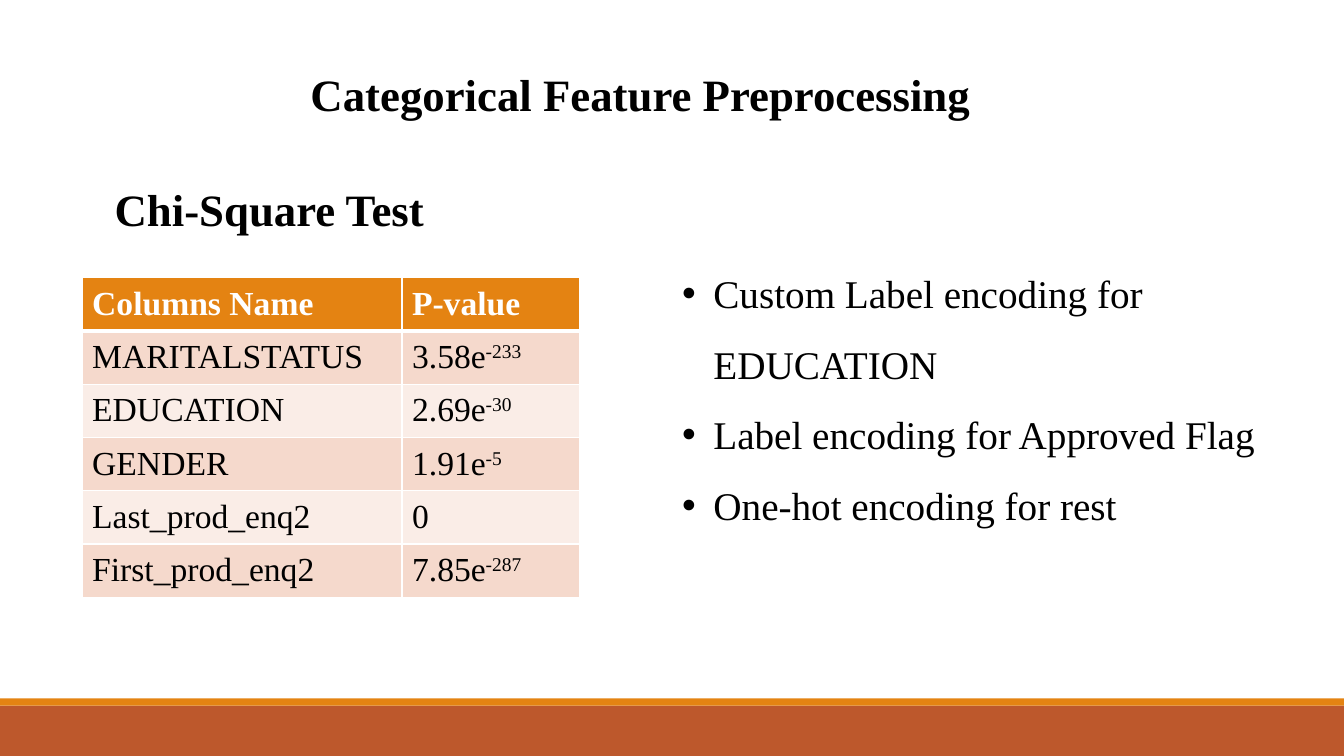
from lxml.etree import SubElement
from pptx import Presentation
from pptx.dml.color import RGBColor
from pptx.enum.shapes import MSO_SHAPE as Preset
from pptx.enum.text import MSO_ANCHOR as Anchor, PP_ALIGN as Align
from pptx.oxml.ns import qn
from pptx.util import Cm, Pt

COLORS = {
    "rust": "BD582C", "orange": "E48312", "white": "FFFFFF",
    "black": "000000", "band_dark": "F5D9CC", "band_light": "FAEDE7",
}


def rgb(name):
    return RGBColor.from_string(COLORS[name])


def add_span(para, text, size, color="black", bold=False):
    span = para.add_run()
    span.text = text
    formats = {"name": "Times New Roman", "size": Pt(size), "bold": bold}
    for attribute, value in formats.items():
        setattr(span.font, attribute, value)
    span.font.color.rgb = rgb(color)
    return span


deck = Presentation()
deck.slide_width, deck.slide_height = Cm(33.87), Cm(19.05)
page = deck.slides.add_slide(deck.slide_layouts[5])

# Footer bars
for top, height, color in [(17.78, 1.27, "rust"), (17.6, 0.18, "orange")]:
    bar = page.shapes.add_shape(Preset.RECTANGLE, 0, Cm(top), deck.slide_width, Cm(height))
    bar.shadow.inherit = False
    bar.fill.solid()
    bar.fill.fore_color.rgb = rgb(color)
    bar.line.fill.background()

# Title and subheading
title = page.shapes.title
title.left, title.top, title.width, title.height = Cm(7.57), Cm(1.55), Cm(17.6), Cm(1.63)
subheading = page.shapes.add_textbox(Cm(2.64), Cm(4.45), Cm(15.06), Cm(1.63))
headings = [(title, "Categorical Feature Preprocessing"), (subheading, "Chi-Square Test")]
for box, text in headings:
    box.text_frame.word_wrap = True
    box.text_frame.vertical_anchor = Anchor.TOP
    para = box.text_frame.paragraphs[0]
    para.alignment = Align.LEFT
    add_span(para, text, 32, bold=True)

# Chi-square table: name, value, exponent
rows = [
    ("Columns Name", "P-value", ""),
    ("MARITALSTATUS", "3.58e", "-233"),
    ("EDUCATION", "2.69e", "-30"),
    ("GENDER", "1.91e", "-5"),
    ("Last_prod_enq2", "0", ""),
    ("First_prod_enq2", "7.85e", "-287"),
]
row_height = Cm(1.34)
table = page.shapes.add_table(
    len(rows), 2, Cm(2.07), Cm(7), Cm(12.53), row_height * len(rows)).table
for column, width in zip(table.columns, (8.06, 4.47)):
    column.width = Cm(width)

for row_index, (name, value, exponent) in enumerate(rows):
    table.rows[row_index].height = row_height
    header = row_index == 0
    fill = "orange" if header else ("band_light", "band_dark")[row_index % 2]
    ink = "white" if header else "black"
    for column_index, text in enumerate((name, value)):
        cell = table.cell(row_index, column_index)
        para = cell.text_frame.paragraphs[0]
        para.line_spacing = 1.07
        para.space_after = Pt(8)
        add_span(para, text, 24, ink, header)
        if column_index == 1 and exponent:
            power = add_span(para, exponent, 24, ink)
            power.font._element.set("baseline", "30000")

        # Borders come before the fill in the cell properties
        properties = cell._tc.get_or_add_tcPr()
        for side in "LRTB":
            thick = (header and side == "B") or (row_index == 1 and side == "T")
            border = SubElement(properties, qn(f"a:ln{side}"), w=str(Pt(3 if thick else 1)))
            paint = SubElement(border, qn("a:solidFill"))
            SubElement(paint, qn("a:srgbClr"), val=COLORS["white"])
        cell.fill.solid()
        cell.fill.fore_color.rgb = rgb(fill)

# Encoding choices
choices = [
    "Custom Label encoding for EDUCATION",
    "Label encoding for Approved Flag",
    "One-hot encoding for rest",
]
box = page.shapes.add_textbox(Cm(16.94), Cm(6.07), Cm(16.2), Cm(8.2))
frame = box.text_frame
frame.word_wrap = True
for index, text in enumerate(choices):
    para = frame.add_paragraph() if index else frame.paragraphs[0]
    para.line_spacing = 1.5
    add_span(para, text, 28)
    properties = para._p.get_or_add_pPr()
    properties.set("marL", str(Cm(0.79)))
    properties.set("indent", str(-Cm(0.79)))
    SubElement(properties, qn("a:buFont"), typeface="Arial")
    SubElement(properties, qn("a:buChar"), char="•")

deck.save("out.pptx")
